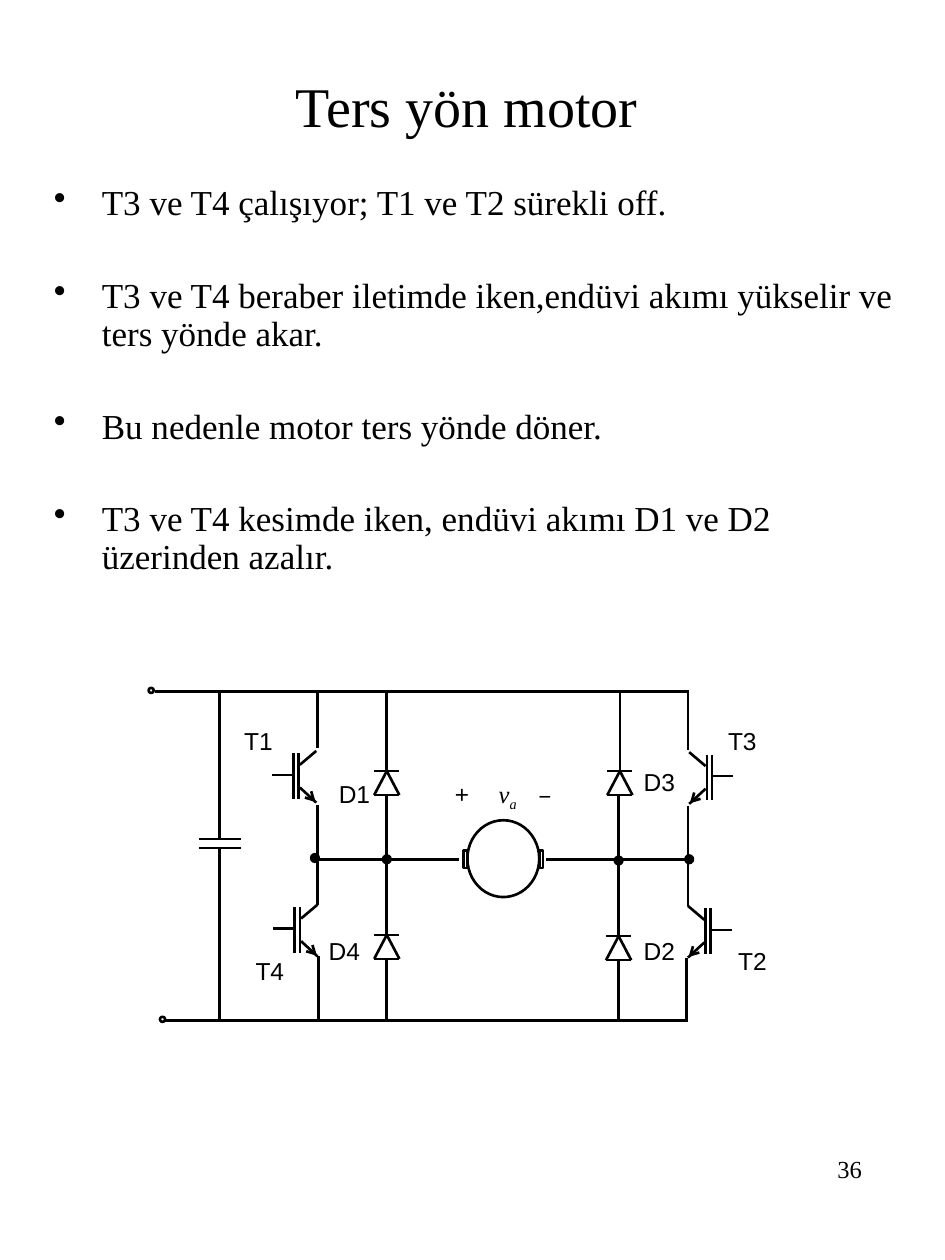
from lxml.etree import SubElement
from pptx import Presentation
from pptx.dml.color import RGBColor
from pptx.enum.shapes import MSO_CONNECTOR, MSO_SHAPE
from pptx.enum.text import MSO_ANCHOR, PP_ALIGN
from pptx.oxml.ns import qn
from pptx.util import Pt

SCALE = 9144  # EMU per px, 100 px to the inch
COLORS = {"ink": "000000", "paper": "FFFFFF"}
SERIF, SANS, MONO = "Times New Roman", "Arial", "Courier New"

TITLE = "Ters yön motor"
PAGE_NUMBER = "36"
BULLETS = [
    "T3 ve T4 çalışıyor; T1 ve T2 sürekli off.",
    "T3 ve T4 beraber iletimde iken,endüvi akımı yükselir ve ters yönde akar.",
    "Bu nedenle motor ters yönde döner.",
    "T3 ve T4 kesimde iken, endüvi akımı D1 ve D2 üzerinden azalır.",
]
LABELS = {  # name: left, top, width
    "T1": (184, 571, 43), "T3": (568, 571, 43), "T2": (576, 746, 43), "T4": (193, 754, 43),
    "D1": (259, 613, 45), "D4": (251, 738, 45), "D3": (501, 604, 45), "D2": (501, 738, 45),
}
VOLTAGE = [("+\t", MONO, False, 0), ("v", SERIF, True, 0),
           ("a", SERIF, True, -25000), ("\t–", MONO, False, 0)]
VOLTAGE_TABS = [35, 66]

WIRES = [
    (123, 549, 547, 549), (129, 810, 545, 810),                          # supply rails
    (253, 682, 364, 682), (433, 682, 544, 682),                          # motor leads
    (158, 666, 191, 666), (158, 673, 191, 673),                          # capacitor plates
    (174, 549, 174, 665), (174, 674, 174, 810),                          # capacitor leads
    (252, 549, 252, 594), (252, 639, 252, 718), (253, 759, 253, 810),    # left transistors
    (546, 550, 546, 595), (546, 640, 546, 719), (545, 760, 545, 811),    # right transistors
    (307, 549, 307, 611), (307, 631, 307, 741), (307, 761, 307, 810),    # left diodes
    (492, 550, 492, 612), (491, 631, 491, 742), (491, 762, 491, 811),    # right diodes
]
TRANSISTORS = [  # emitter x, gate y, side of the gate
    (251, 615, -1), (252, 737, -1), (547, 616, 1), (546, 738, 1),
]
TRANSISTOR_STROKES = [  # away from the emitter, down from the gate
    (14, 19, 14, -17), (18, 19, 18, -17), (19, 0, 35, 0),
    (0, 22, 13, 10), (0, -19, 13, -8), (4, 13, 2, 20), (9, 18, 2, 20),
]
DIODES = [(307, 612), (307, 742), (492, 612), (491, 743)]  # centre x, tip y
DIODE_STROKES = [(-10, 0, 10, 0), (-10, 19, 10, 19), (-10, 19, 0, 0), (10, 19, 0, 0)]
SHAPES = [  # preset, left, top, width, height, fill
    *[(MSO_SHAPE.OVAL, x, y, 4, 4, "paper") for x, y in [(118, 546), (127, 807)]],
    *[(MSO_SHAPE.OVAL, x, y, 6, 6, "ink")
      for x, y in [(247, 678), (304, 679), (544, 679), (488, 680)]],
    (MSO_SHAPE.OVAL, 371, 651, 57, 61, "paper"),
    (MSO_SHAPE.RECTANGLE, 368, 675, 3, 14, "paper"),
    (MSO_SHAPE.RECTANGLE, 428, 675, 3, 14, "paper"),
]


def px(*lengths):
    return [round(length * SCALE) for length in lengths]


def color(name):
    return RGBColor.from_string(COLORS[name])


def add_box(page, place, wrap=True, anchor=MSO_ANCHOR.TOP):
    frame = page.shapes.add_textbox(*px(*place)).text_frame
    frame.word_wrap = wrap
    frame.vertical_anchor = anchor
    return frame


def add_span(para, text, **format_values):
    span = para.add_run()
    span.text = text
    span.font.color.rgb = color("ink")
    for key, value in format_values.items():
        setattr(span.font, key, value)
    return span


def add_line(page, x1, y1, x2, y2):
    line = page.shapes.add_connector(MSO_CONNECTOR.STRAIGHT, *px(x1, y1, x2, y2))
    line.line.color.rgb = color("ink")
    line.line.width = Pt(1.5)
    SubElement(line.element.spPr, qn("a:effectLst"))


def add_symbol(page, strokes, x, y, side=1):
    for x1, y1, x2, y2 in strokes:
        add_line(page, x + side * x1, y + y1, x + side * x2, y + y2)


def add_solid(page, preset, left, top, width, height, fill):
    shape = page.shapes.add_shape(preset, *px(left, top, width, height))
    shape.shadow.inherit = False
    shape.fill.solid()
    shape.fill.fore_color.rgb = color(fill)
    shape.line.color.rgb = color("ink")
    shape.line.width = Pt(1.5)


def add_bullets(page):
    frame = add_box(page, (33, 142, 692, 325))
    for index, text in enumerate(BULLETS):
        para = frame.add_paragraph() if index else frame.paragraphs[0]
        para.line_spacing = 0.9
        para.space_before = Pt(31.5 if index else 5)
        indent, = px(38)
        properties = para._p.get_or_add_pPr()
        properties.set("marL", str(indent))
        properties.set("indent", str(-indent))
        SubElement(properties, qn("a:buChar"), char="•")
        add_span(para, text, name=SERIF, size=Pt(20))


def add_voltage(page):
    para = add_box(page, (351, 613, 100, 42)).paragraphs[0]
    tabs = SubElement(para._p.get_or_add_pPr(), qn("a:tabLst"))
    for position in px(*VOLTAGE_TABS):
        SubElement(tabs, qn("a:tab"), pos=str(position), algn="l")
    for text, font, italic, baseline in VOLTAGE:
        span = add_span(para, text, name=font, size=Pt(14), italic=italic)
        if baseline:
            span.font._element.set("baseline", str(baseline))


def main():
    deck = Presentation()
    deck.slide_width, deck.slide_height = px(750, 1000)
    page = deck.slides.add_slide(deck.slide_layouts[6])

    number = add_box(page, (538, 911, 156, 67)).paragraphs[0]
    number.alignment = PP_ALIGN.RIGHT
    add_span(number, PAGE_NUMBER, name=SERIF, size=Pt(14))
    title = add_box(page, (33, 0, 675, 167), anchor=MSO_ANCHOR.MIDDLE).paragraphs[0]
    title.alignment = PP_ALIGN.CENTER
    add_span(title, TITLE, name=SERIF, size=Pt(32))
    add_bullets(page)

    for wire in WIRES:
        add_line(page, *wire)
    for x, y, side in TRANSISTORS:
        add_symbol(page, TRANSISTOR_STROKES, x, y, side)
    for x, y in DIODES:
        add_symbol(page, DIODE_STROKES, x, y)
    for solid in SHAPES:
        add_solid(page, *solid)
    add_voltage(page)
    for name, (left, top, width) in LABELS.items():
        para = add_box(page, (left, top, width, 34), wrap=False).paragraphs[0]
        add_span(para, name, name=SANS, size=Pt(14))

    deck.save("out.pptx")


if __name__ == "__main__":
    main()
